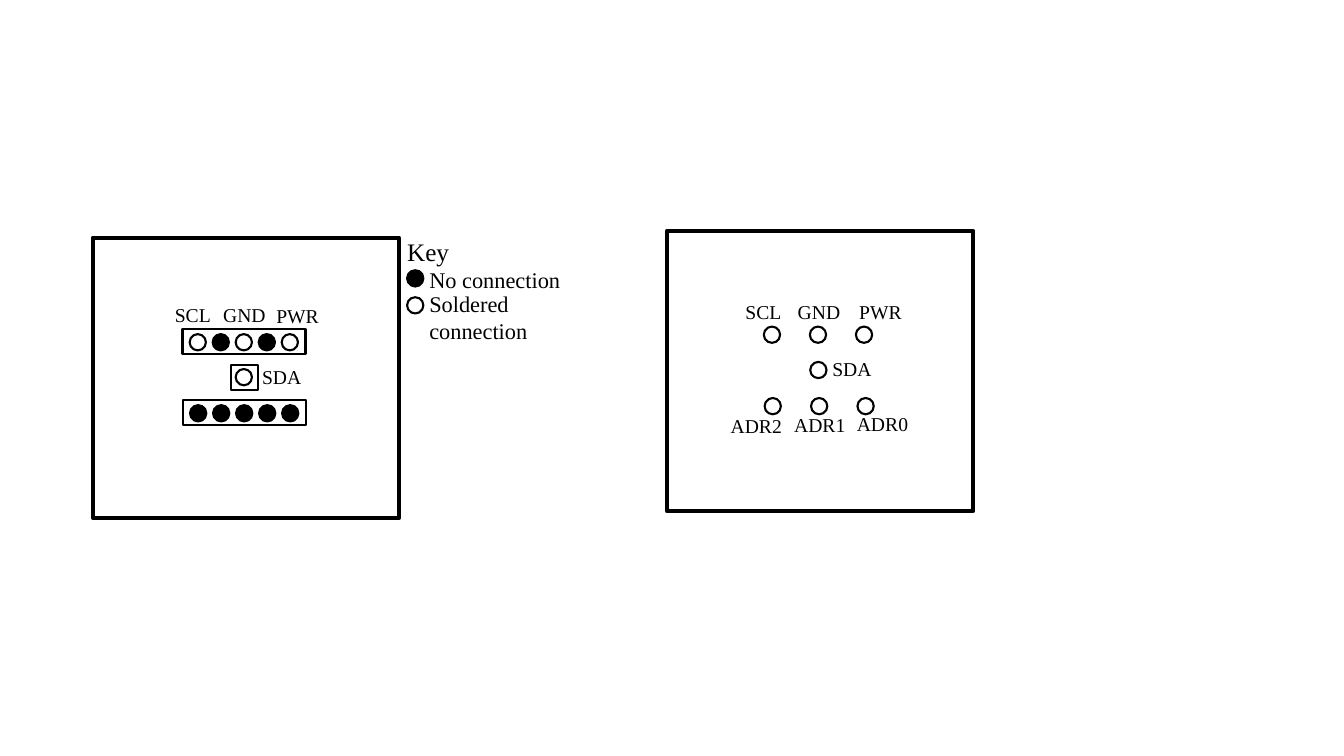
from dataclasses import dataclass

from pptx import Presentation
from pptx.dml.color import RGBColor
from pptx.enum.shapes import MSO_SHAPE as Form
from pptx.enum.text import MSO_AUTO_SIZE as Fit, PP_ALIGN as Align
from pptx.util import Cm, Pt


@dataclass(frozen=True)
class Theme:
    font: str = "Times New Roman"
    ink: RGBColor = RGBColor(0, 0, 0)
    paper: RGBColor = RGBColor(255, 255, 255)
    head: int = 18
    body: int = 16
    label: int = 14
    thick: float = 3
    thin: float = 1.5


class Board:
    """Draws circuit board elements in the current group of a slide."""

    def __init__(self, slide, theme):
        self.slide, self.theme = slide, theme

    def start(self, x, y):
        self.group = self.slide.shapes.add_group_shape()
        self.shape(Form.RECTANGLE, x, y, 7.72, 7.06, weight=self.theme.thick)

    def shape(self, form, x, y, width, height, solid=False, weight=None):
        item = self.group.shapes.add_shape(form, Cm(x), Cm(y), Cm(width), Cm(height))
        item.shadow.inherit = False
        item.fill.solid()
        item.fill.fore_color.rgb = self.theme.ink if solid else self.theme.paper
        item.line.color.rgb = self.theme.ink
        item.line.width = Pt(weight or self.theme.thin)

    def frame(self, x, y, width):
        self.shape(Form.RECTANGLE, x, y, width, 0.64)

    def pin(self, x, y, solid=False):
        self.shape(Form.OVAL, x, y, 0.41, 0.41, solid)

    def row(self, x, y, step, solids):
        for i, solid in enumerate(solids):
            self.pin(x + i * step, y, solid)

    def text(self, words, x, y, width, height, size, align=Align.LEFT, wrap=True):
        box = self.group.shapes.add_textbox(Cm(x), Cm(y), Cm(width), Cm(height))
        frame = box.text_frame
        frame.word_wrap = wrap
        frame.auto_size = Fit.SHAPE_TO_FIT_TEXT
        para = frame.paragraphs[0]
        para.alignment = align
        run = para.add_run()
        run.text = words
        run.font.name = self.theme.font
        run.font.size = Pt(size)
        run.font.color.rgb = self.theme.ink

    def label(self, words, x, y):
        self.text(words, x, y, 1.8, 0.86, self.theme.label, Align.CENTER, False)


def main():
    deck = Presentation()
    deck.slide_width, deck.slide_height = Cm(33.87), Cm(19.05)
    theme = Theme()
    board = Board(deck.slides.add_slide(deck.slide_layouts[6]), theme)

    board.start(2.34, 5.99)
    board.frame(5.82, 9.19, 0.69)
    board.pin(5.94, 9.3)
    board.frame(4.6, 8.28, 3.1)
    board.row(4.78, 8.42, 0.58, [False, True, False, True, False])
    board.frame(4.61, 10.08, 3.1)
    board.row(4.79, 10.21, 0.58, [True] * 5)
    for words, x, y in [("SCL", 3.96, 7.52), ("GND", 5.26, 7.52),
                        ("PWR", 6.6, 7.54), ("SDA", 6.2, 9.07)]:
        board.label(words, x, y)

    board.pin(10.26, 6.81, True)
    board.pin(10.26, 7.49)
    board.text("Key", 10.01, 5.82, 3.05, 1.02, theme.head)
    board.text("No connection", 10.57, 6.58, 4.7, 0.94, theme.body)
    board.text("Soldered connection", 10.57, 7.19, 3.99, 1.63, theme.body)

    board.start(16.81, 5.82)
    board.pin(20.42, 9.12)
    board.row(19.25, 8.23, 1.16, [False] * 3)
    board.row(19.27, 10.03, 1.17, [False] * 3)
    for words, x, y in [("SDA", 20.57, 8.86), ("SCL", 18.34, 7.44),
                        ("GND", 19.74, 7.44), ("PWR", 21.29, 7.44),
                        ("ADR2", 18.16, 10.31), ("ADR1", 19.76, 10.29),
                        ("ADR0", 21.34, 10.26)]:
        board.label(words, x, y)

    deck.save("out.pptx")


if __name__ == "__main__":
    main()
